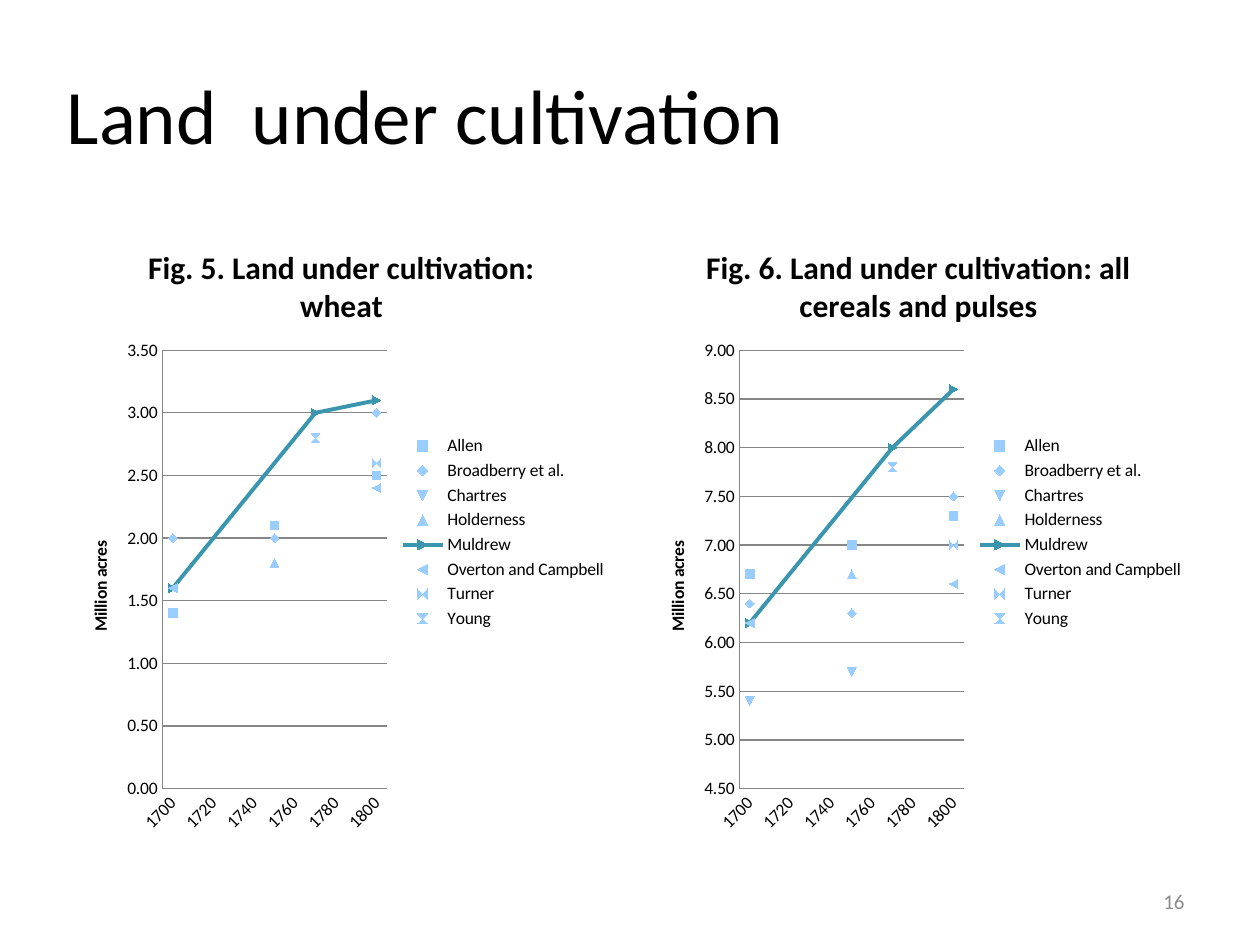
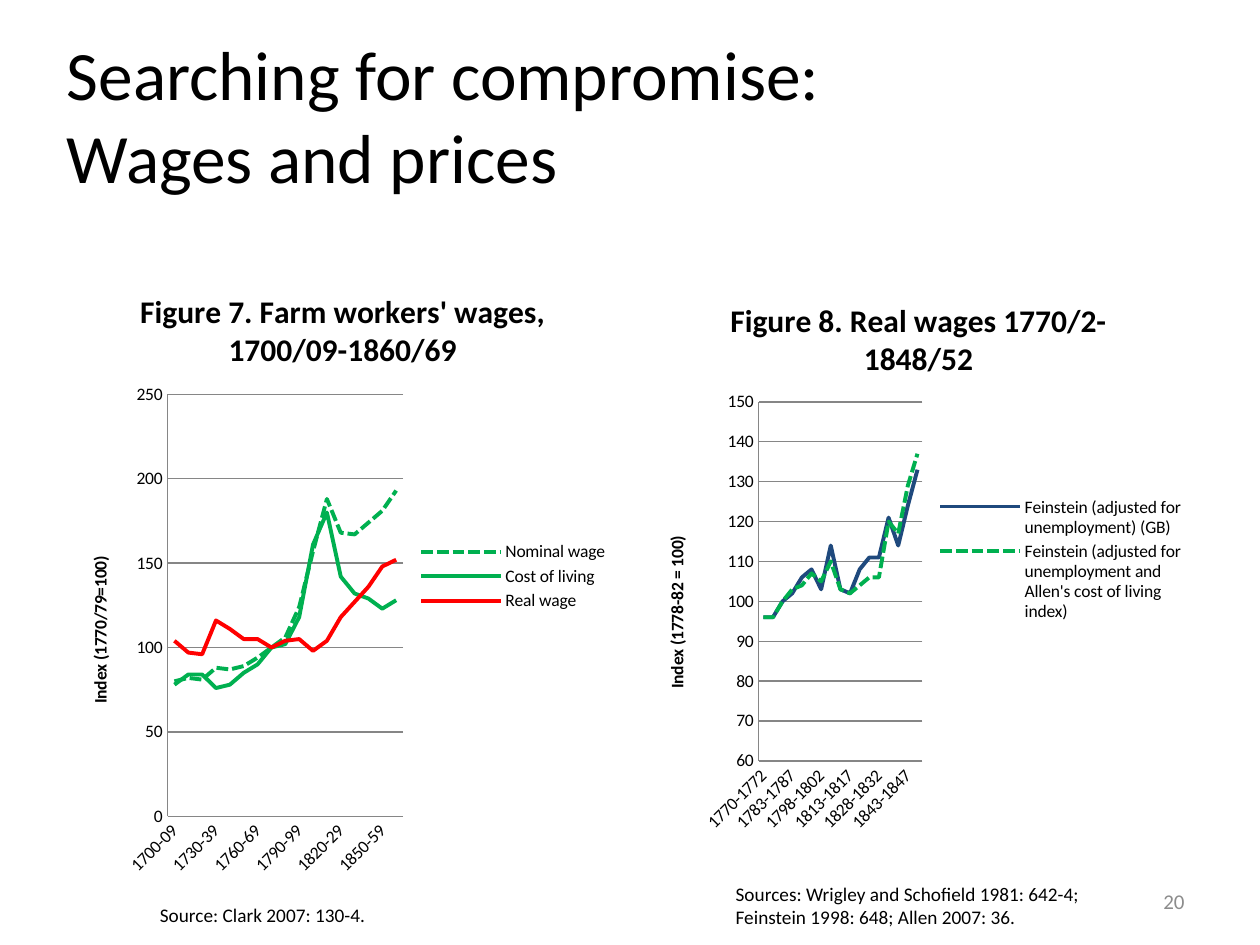
import pptx
import pptx.chart.data
import pptx.dml.color
import pptx.enum.chart
import pptx.enum.dml
import pptx.enum.text
import pptx.oxml
import pptx.oxml.ns
import pptx.util

Inches, Pt = pptx.util.Inches, pptx.util.Pt
FONT = "Calibri"
BLACK, GRID, NUMBER_GREY = "000000", "868686", "8C8C8C"
PALE, TEAL = "99CCFF", "3A96AF"
GREEN, RED, NAVY = "00B050", "FF0000", "1F497D"


def paint(target, colour):
    if hasattr(target, "solid"):
        target.solid()
        target = target.fore_color
    target.rgb = pptx.dml.color.RGBColor.from_string(colour)


def style(font, size, colour=BLACK, bold=False):
    font.name, font.size, font.bold = FONT, Pt(size), bold
    paint(font.color, colour)


decades = [str(year) for year in range(1700, 1801, 10)]
wage_decades = [f"{year}-{year % 100 + 9:02d}" for year in range(1700, 1861, 10)]
five_years = ["1770-1772"] + [f"{year}-{year + 4}" for year in range(1773, 1849, 5)]

wheat = {
    "Allen": {1700: 1.4, 1750: 2.1, 1800: 2.5},
    "Broadberry et al.": {1700: 2, 1750: 2, 1800: 3},
    "Chartres": {1700: 1.4, 1750: 2.1},
    "Holderness": {1750: 1.8, 1800: 2.5},
    "Muldrew": {1700: 1.6, 1770: 3, 1800: 3.1},
    "Overton and Campbell": {1700: 1.6, 1800: 2.4},
    "Turner": {1800: 2.6},
    "Young": {1770: 2.8},
}
cereals = {
    "Allen": {1700: 6.7, 1750: 7, 1800: 7.3},
    "Broadberry et al.": {1700: 6.4, 1750: 6.3, 1800: 7.5},
    "Chartres": {1700: 5.4, 1750: 5.7, 1800: 7.3},
    "Holderness": {1750: 6.7, 1800: 7.3},
    "Muldrew": {1700: 6.2, 1770: 8, 1800: 8.6},
    "Overton and Campbell": {1700: 6.2, 1800: 6.6},
    "Turner": {1800: 7},
    "Young": {1770: 7.8},
}
acre_series = [
    [(name, [points.get(int(year)) for year in decades], TEAL if name == "Muldrew" else PALE, False)
     for name, points in estimates.items()]
    for estimates in (wheat, cereals)
]
farm_wages = [
    ("Nominal wage", [80, 82, 81, 88, 87, 89, 94, 100, 106, 124, 157, 188, 168, 167, 174, 181, 193],
     GREEN, True),
    ("Cost of living", [78, 84, 84, 76, 78, 85, 90, 100, 102, 118, 161, 180, 142, 132, 129, 123, 128],
     GREEN, False),
    ("Real wage", [104, 97, 96, 116, 111, 105, 105, 100, 104, 105, 98, 104, 118, 127, 136, 148, 152],
     RED, False),
]
real_wages = [
    ("Feinstein (adjusted for unemployment) (GB)",
     [96, 96, 100, 102, 106, 108, 103, 114, 103, 102, 108, 111, 111, 121, 114, 124, 133], NAVY, False),
    ("Feinstein (adjusted for unemployment and Allen's cost of living index)",
     [96, 96, 100, 103, 104, 107, 105, 110, 103, 102, 104, 106, 106, 120, 117, 129, 137], GREEN, True),
]

land_plot = (0.79, 1.03, 1.78, 3.48)
slides = [
    dict(title="Land  under cultivation", width=9, size=44, number="16", markers=True, format="0.00",
         skip=2, notes=[], figures=[
             ("Fig. 5. Land under cultivation: wheat", (0.5, 1.75, 4.42, 4.95), land_plot,
              "Million acres", (0, 3.5, 0.5), decades, acre_series[0]),
             ("Fig. 6. Land under cultivation: all cereals and pulses", (5.08, 1.75, 4.42, 4.95), land_plot,
              "Million acres", (4.5, 9, 0.5), decades, acre_series[1]),
         ]),
    dict(title="Searching for compromise: Wages and prices", width=7.64, size=39.6, number="20",
         markers=False, format="0", skip=3, figures=[
             ("Figure 7. Farm workers' wages, 1700/09-1860/69", (0.51, 2.1, 4.42, 4.95),
              (0.82, 1.03, 1.87, 3.35), "Index (1770/79=100)", (0, 250, 50), wage_decades, farm_wages),
             ("Figure 8. Real wages 1770/2-1848/52", (5.08, 2.18, 4.42, 4.52),
              (0.94, 1.01, 1.3, 2.85), "Index (1778-82 = 100)", (60, 150, 10), five_years, real_wages),
         ], notes=[
             ((1.17, 7.12, 1.85, 0.29), False, ["Source: Clark 2007: 130-4."]),
             ((5.74, 6.95, 4.29, 0.47), True, ["Sources: Wrigley and Schofield 1981: 642-4;",
                                               "Feinstein 1998: 648; Allen 2007: 36."]),
         ]),
]

deck = pptx.Presentation()
deck.slide_width, deck.slide_height = Inches(10), Inches(7.5)

for page in slides:
    slide = deck.slides.add_slide(deck.slide_layouts[5])
    heading = slide.shapes.title
    heading.left, heading.top = Inches(0.43), Inches(0.28)
    heading.width, heading.height = Inches(page["width"]), Inches(1.25)
    heading.text_frame.vertical_anchor = pptx.enum.text.MSO_ANCHOR.MIDDLE
    line = heading.text_frame.paragraphs[0]
    line.alignment = pptx.enum.text.PP_ALIGN.LEFT
    words = line.add_run()
    words.text = page["title"]
    style(words.font, page["size"])

    page_number = slide.shapes.add_textbox(Inches(7.17), Inches(6.95), Inches(2.33), Inches(0.4))
    page_number.text_frame.word_wrap = True
    page_number.text_frame.vertical_anchor = pptx.enum.text.MSO_ANCHOR.MIDDLE
    line = page_number.text_frame.paragraphs[0]
    line.alignment = pptx.enum.text.PP_ALIGN.RIGHT
    words = line.add_run()
    words.text = page["number"]
    style(words.font, 12, NUMBER_GREY)

    for caption, box, plot_box, unit, (low, high, step), periods, lines in page["figures"]:
        figures = pptx.chart.data.CategoryChartData(number_format=page["format"])
        figures.categories = periods
        for name, values, colour, dashed in lines:
            figures.add_series(name, values)
        kind = pptx.enum.chart.XL_CHART_TYPE
        chart = slide.shapes.add_chart(kind.LINE_MARKERS if page["markers"] else kind.LINE,
                                       *map(Inches, box), figures).chart
        style(chart.font, 10)
        chart.has_title = True
        words = chart.chart_title.text_frame.paragraphs[0].add_run()
        words.text = caption
        style(words.font, 18, bold=True)
        chart.has_legend = True
        chart.legend.position = pptx.enum.chart.XL_LEGEND_POSITION.RIGHT
        chart.legend.include_in_layout = False

        years, scale = chart.category_axis, chart.value_axis
        scale.minimum_scale, scale.maximum_scale, scale.major_unit = low, high, step
        scale.has_major_gridlines = True
        paint(scale.major_gridlines.format.line.fill, GRID)
        scale.major_gridlines.format.line.width = Pt(0.75)
        scale.tick_labels.number_format = page["format"]
        scale.tick_labels.number_format_is_linked = False
        scale.has_title = True
        words = scale.axis_title.text_frame.paragraphs[0].add_run()
        words.text = unit
        style(words.font, 10, bold=True)
        for axis in (years, scale):
            axis.major_tick_mark = axis.minor_tick_mark = pptx.enum.chart.XL_TICK_MARK.NONE
            paint(axis.format.line.fill, GRID)
            axis.format.line.width = Pt(0.75)
            style(axis.tick_labels.font, 10)

        ns = pptx.oxml.ns.nsdecls("c")
        qn = pptx.oxml.ns.qn
        year_xml = years._element
        year_xml.find(qn("c:txPr")).find(qn("a:bodyPr")).set("rot", "-2700000")
        skip = pptx.oxml.parse_xml(f'<c:tickLblSkip {ns} val="{page["skip"]}"/>')
        year_xml.find(qn("c:noMultiLvlLbl")).addprevious(skip)
        chart._chartSpace.chart.find(qn("c:dispBlanksAs")).set("val", "span")
        plot_area = chart._chartSpace.chart.plotArea
        for automatic in plot_area.findall(qn("c:layout")):
            plot_area.remove(automatic)
        sides = "".join(f'<c:{side} val="{length / whole:.4f}"/>'
                        for side, length, whole in zip("xywh", plot_box, box[2:] * 2))
        plot_area.insert(0, pptx.oxml.parse_xml(
            f'<c:layout {ns}><c:manualLayout><c:layoutTarget val="inner"/>'
            f'<c:xMode val="edge"/><c:yMode val="edge"/>{sides}</c:manualLayout></c:layout>'))

        for series, (name, values, colour, dashed) in zip(chart.plots[0].series, lines):
            series.smooth = False
            if page["markers"]:
                series.marker.size = 5
                paint(series.marker.format.fill, colour)
                series.marker.format.line.fill.background()
            if colour == PALE:
                series.format.line.fill.background()
                continue
            paint(series.format.line.fill, colour)
            series.format.line.width = Pt(2.25)
            if dashed:
                series.format.line.dash_style = pptx.enum.dml.MSO_LINE.SQUARE_DOT

    for box, wraps, rows in page["notes"]:
        source = slide.shapes.add_textbox(*map(Inches, box))
        source.text_frame.word_wrap = wraps
        line = source.text_frame.paragraphs[0]
        for index, row in enumerate(rows):
            if index:
                line.add_line_break()
            words = line.add_run()
            words.text = row
            style(words.font, 11)

deck.save("out.pptx")
